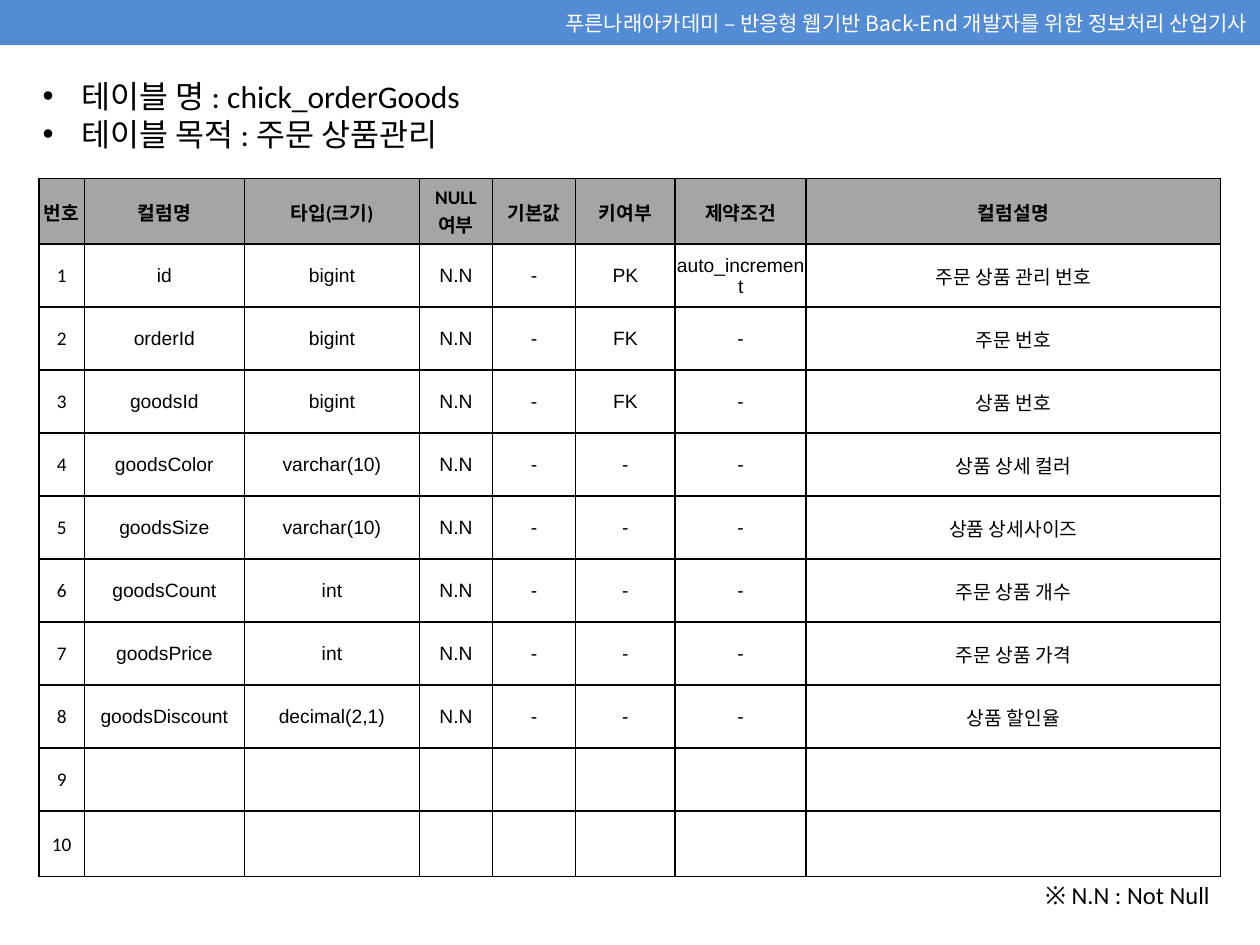
from dataclasses import dataclass

from lxml.etree import SubElement
from pptx import Presentation
from pptx.dml.color import RGBColor
from pptx.enum.shapes import MSO_SHAPE
from pptx.enum.text import MSO_ANCHOR, MSO_AUTO_SIZE, PP_ALIGN
from pptx.oxml.ns import qn
from pptx.util import Inches, Pt

SLIDE_WIDTH, SLIDE_HEIGHT = 10, 7.5
KOREAN_FONT = "Noto Sans CJK KR"
BLACK, WHITE, BLUE, GRAY = "000000", "FFFFFF", "538CD5", "A5A5A5"

COLUMN_WIDTHS = (0.36, 1.27, 1.39, 0.58, 0.66, 0.79, 1.04, 3.29)
EDGE_ROW_HEIGHT, ROW_HEIGHT = 0.52, 0.5
ROW_COUNT = 10
HEADERS = ("번호", "컬럼명", "타입(크기)", "NULL 여부", "기본값", "키여부", "제약조건", "컬럼설명")


@dataclass(frozen=True)
class Area:
    left: float
    top: float
    width: float
    height: float

    def lengths(self) -> tuple:
        return (
            Inches(self.left * SLIDE_WIDTH),
            Inches(self.top * SLIDE_HEIGHT),
            Inches(self.width * SLIDE_WIDTH),
            Inches(self.height * SLIDE_HEIGHT),
        )


@dataclass(frozen=True)
class TextStyle:
    size: float
    font: str = "Calibri"
    color: str = BLACK
    bold: bool = False


@dataclass(frozen=True)
class Field:
    name: str
    type: str
    description: str
    key: str = "-"
    constraint: str = "-"

    def values(self) -> tuple:
        return (self.name, self.type, "N.N", "-", self.key, self.constraint, self.description)


FIELDS = (
    Field("id", "bigint", "주문 상품 관리 번호", "PK", "auto_increment"),
    Field("orderId", "bigint", "주문 번호", "FK"),
    Field("goodsId", "bigint", "상품 번호", "FK"),
    Field("goodsColor", "varchar(10)", "상품 상세 컬러"),
    Field("goodsSize", "varchar(10)", "상품 상세사이즈"),
    Field("goodsCount", "int", "주문 상품 개수"),
    Field("goodsPrice", "int", "주문 상품 가격"),
    Field("goodsDiscount", "decimal(2,1)", "상품 할인율"),
)


def rgb(color: str) -> RGBColor:
    return RGBColor.from_string(color)


def add_run(paragraph, text: str, style: TextStyle) -> None:
    run = paragraph.add_run()
    run.text = text
    run.font.size = Pt(style.size)
    run.font.name = style.font
    run.font.bold = style.bold
    run.font.color.rgb = rgb(style.color)
    latin = run.font._element.find(qn("a:latin"))
    east_asian = SubElement(run.font._element, qn("a:ea"), typeface=KOREAN_FONT)
    latin.addnext(east_asian)


def add_bullet(paragraph) -> None:
    properties = paragraph._p.get_or_add_pPr()
    properties.set("marL", str(Inches(0.31)))
    properties.set("indent", str(-Inches(0.31)))
    bullet_color = SubElement(properties, qn("a:buClr"))
    SubElement(bullet_color, qn("a:srgbClr"), val=BLACK)
    SubElement(properties, qn("a:buFont"), typeface="Arial")
    SubElement(properties, qn("a:buChar"), char="•")


def add_banner(slide, area: Area, text: str) -> None:
    shape = slide.shapes.add_shape(MSO_SHAPE.RECTANGLE, *area.lengths())
    shape.shadow.inherit = False
    shape.fill.solid()
    shape.fill.fore_color.rgb = rgb(BLUE)
    shape.line.fill.background()
    shape.text_frame.vertical_anchor = MSO_ANCHOR.MIDDLE
    paragraph = shape.text_frame.paragraphs[0]
    paragraph.alignment = PP_ALIGN.RIGHT
    add_run(paragraph, text, TextStyle(12, KOREAN_FONT, WHITE))


def add_text(slide, area: Area, lines: tuple, style: TextStyle,
             alignment=PP_ALIGN.LEFT, bulleted: bool = False) -> None:
    frame = slide.shapes.add_textbox(*area.lengths()).text_frame
    frame.word_wrap = True
    frame.auto_size = MSO_AUTO_SIZE.SHAPE_TO_FIT_TEXT
    for index, line in enumerate(lines):
        paragraph = frame.add_paragraph() if index else frame.paragraphs[0]
        paragraph.alignment = alignment
        if bulleted:
            add_bullet(paragraph)
        add_run(paragraph, line, style)


def add_borders(cell) -> None:
    properties = cell._tc.get_or_add_tcPr()
    for side in ("lnL", "lnR", "lnT", "lnB"):
        border = SubElement(properties, qn(f"a:{side}"), w=str(Pt(1)))
        fill = SubElement(border, qn("a:solidFill"))
        SubElement(fill, qn("a:srgbClr"), val=BLACK)


def fill_cell(cell, text: str, style: TextStyle, header: bool) -> None:
    cell.margin_left = cell.margin_right = cell.margin_top = Inches(0.01)
    cell.margin_bottom = 0
    cell.vertical_anchor = MSO_ANCHOR.MIDDLE
    add_borders(cell)
    if header:
        cell.fill.solid()
        cell.fill.fore_color.rgb = rgb(GRAY)
    else:
        cell.fill.background()
    paragraph = cell.text_frame.paragraphs[0]
    paragraph.alignment = PP_ALIGN.CENTER
    if text:
        add_run(paragraph, text, style)


def add_field_table(slide, left: float, top: float) -> None:
    heights = (EDGE_ROW_HEIGHT, *[ROW_HEIGHT] * (ROW_COUNT - 1), EDGE_ROW_HEIGHT)
    area = Area(left, top, sum(COLUMN_WIDTHS) / SLIDE_WIDTH, sum(heights) / SLIDE_HEIGHT)
    table = slide.shapes.add_table(len(heights), len(COLUMN_WIDTHS), *area.lengths()).table
    table.first_row = table.horz_banding = False
    for column, width in zip(table.columns, COLUMN_WIDTHS):
        column.width = Inches(width)
    for row, height in zip(table.rows, heights):
        row.height = Inches(height)

    blank = ("",) * (len(COLUMN_WIDTHS) - 1)
    body = [field.values() for field in FIELDS]
    body += [blank] * (ROW_COUNT - len(FIELDS))
    rows = [HEADERS] + [(str(number), *values) for number, values in enumerate(body, 1)]
    for row_index, values in enumerate(rows):
        header = row_index == 0
        for column_index, text in enumerate(values):
            font = "Calibri" if header or column_index == 0 else "Arial"
            style = TextStyle(11, font, bold=header)
            fill_cell(table.cell(row_index, column_index), text, style, header)


def main() -> None:
    presentation = Presentation()
    presentation.slide_width = Inches(SLIDE_WIDTH)
    presentation.slide_height = Inches(SLIDE_HEIGHT)
    slide = presentation.slides.add_slide(presentation.slide_layouts[6])
    add_banner(slide, Area(0, 0, 1, 0.048),
               "푸른나래아카데미 – 반응형 웹기반 Back-End 개발자를 위한 정보처리 산업기사")
    add_text(slide, Area(0.024, 0.075, 0.949, 0.095),
             ("테이블 명 : chick_orderGoods", "테이블 목적 : 주문 상품관리"),
             TextStyle(18), bulleted=True)
    add_field_table(slide, 0.031, 0.189)
    add_text(slide, Area(0.815, 0.925, 0.155, 0.045), ("※ N.N : Not Null",),
             TextStyle(14), PP_ALIGN.RIGHT)
    presentation.save("out.pptx")


if __name__ == "__main__":
    main()
